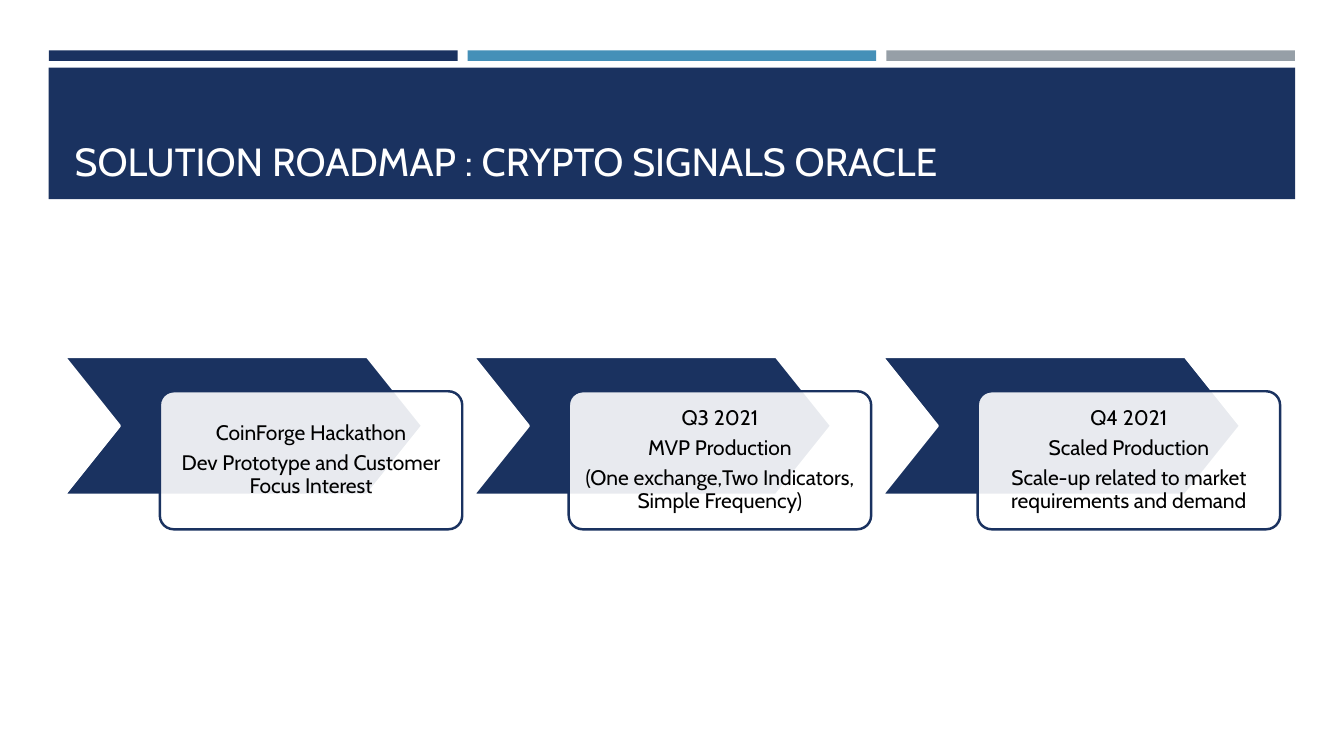
from pptx import Presentation
from pptx.dml.color import RGBColor
from pptx.enum.shapes import MSO_SHAPE
from pptx.enum.text import MSO_ANCHOR, PP_ALIGN
from pptx.oxml.ns import qn
from pptx.util import Pt
from lxml import etree

RECTANGLE = MSO_SHAPE.RECTANGLE
CHEVRON = MSO_SHAPE.CHEVRON
ROUNDED = MSO_SHAPE.ROUNDED_RECTANGLE
MIDDLE, BOTTOM = MSO_ANCHOR.MIDDLE, MSO_ANCHOR.BOTTOM
LEFT, CENTER = PP_ALIGN.LEFT, PP_ALIGN.CENTER

NAVY = RGBColor(0x1A, 0x32, 0x60)
BLUE = RGBColor(0x45, 0x90, 0xB8)
GRAY = RGBColor(0x96, 0x9F, 0xA7)
WHITE = RGBColor(0xFF, 0xFF, 0xFF)
BLACK = RGBColor(0, 0, 0)
FONT = "Cabin"

TITLE = "SOLUTION ROADMAP : CRYPTO SIGNALS ORACLE"
MILESTONES = [
    ["CoinForge Hackathon", "Dev Prototype and Customer Focus Interest"],
    ["Q3 2021", "MVP Production",
     "(One exchange,Two Indicators, Simple Frequency)"],
    ["Q4 2021", "Scaled Production",
     "Scale-up related to market requirements and demand"],
]


def add_block(slide, kind, box, fill, line=None):
    """Add a filled preset shape, outlined when a line colour is given."""
    shape = slide.shapes.add_shape(kind, *(Pt(length) for length in box))
    shape.shadow.inherit = False
    shape.fill.solid()
    shape.fill.fore_color.rgb = fill
    if line is None:
        shape.line.fill.background()
    else:
        shape.line.color.rgb = line
        shape.line.width = Pt(1.75)
    return shape


def set_opacity(shape, percent):
    """Make the solid fill of a shape partly transparent."""
    color = shape.fill._xPr.find(qn("a:solidFill"))[0]
    etree.SubElement(color, qn("a:alpha")).set("val", str(percent * 1000))


def write_text(shape, lines, size, color, align, anchor, margins):
    """Write one paragraph per line; margins are horizontal and vertical."""
    frame = shape.text_frame
    frame.word_wrap = True
    frame.vertical_anchor = anchor
    frame.margin_left = frame.margin_right = Pt(margins[0])
    frame.margin_top = frame.margin_bottom = Pt(margins[1])
    for index, line in enumerate(lines):
        paragraph = frame.add_paragraph() if index else frame.paragraphs[0]
        paragraph.alignment = align
        paragraph.line_spacing = 0.9
        paragraph.space_after = Pt(0.35 * size)
        run = paragraph.add_run()
        run.text = line
        run.font.name = FONT
        run.font.size = Pt(size)
        run.font.color.rgb = color


def add_accent_bars(slide, left, top, width, height):
    """Spread three coloured bars evenly over the box."""
    gap = 7.2
    bar_width = (width - 2 * gap) / 3
    for index, color in enumerate((NAVY, BLUE, GRAY)):
        bar_left = left + index * (bar_width + gap)
        add_block(slide, RECTANGLE, (bar_left, top, bar_width, height), color)


def add_title_band(slide, left, top, width, height):
    """Fill the box with the band and set the title at its foot."""
    add_block(slide, RECTANGLE, (left, top, width, height), NAVY)
    title = slide.shapes.add_textbox(
        Pt(left + 11.5), Pt(top + 7), Pt(width - 23), Pt(height - 13.5))
    write_text(title, [TITLE], 28, WHITE, LEFT, BOTTOM, (7.2, 3.6))
    title.text_frame.paragraphs[0].space_after = Pt(0)


def add_milestone(slide, left, top, width, height, lines):
    """Draw a chevron with its text card overlapping at the lower right."""
    shift_x, shift_y = 68.1, 24.6
    card_width, part_height = width - shift_x, height - shift_y
    chevron = add_block(
        slide, CHEVRON, (left, top, 255.6, part_height), NAVY, WHITE)
    chevron.adjustments[0] = 0.4
    card = add_block(
        slide, ROUNDED,
        (left + shift_x, top + shift_y, card_width, part_height), WHITE, NAVY)
    card.adjustments[0] = 0.1
    set_opacity(card, 90)
    write_text(card, lines, 15, BLACK, CENTER, MIDDLE, (8.7, 8.7))


def add_roadmap(slide, left, top, width, height):
    """Place the milestones side by side with equal gaps."""
    gap = 8
    count = len(MILESTONES)
    step_width = (width - (count - 1) * gap) / count
    for index, lines in enumerate(MILESTONES):
        step_left = left + index * (step_width + gap)
        add_milestone(slide, step_left, top, step_width, height, lines)


def main():
    """Build and save the roadmap slide."""
    presentation = Presentation()
    presentation.slide_width, presentation.slide_height = Pt(960), Pt(540)
    slide = presentation.slides.add_slide(presentation.slide_layouts[6])
    add_accent_bars(slide, 35, 36, 890, 7.5)
    add_title_band(slide, 34.8, 48.4, 890.4, 93.8)
    add_roadmap(slide, 46.1, 254.9, 868.3, 123.2)
    presentation.save("out.pptx")


main()
